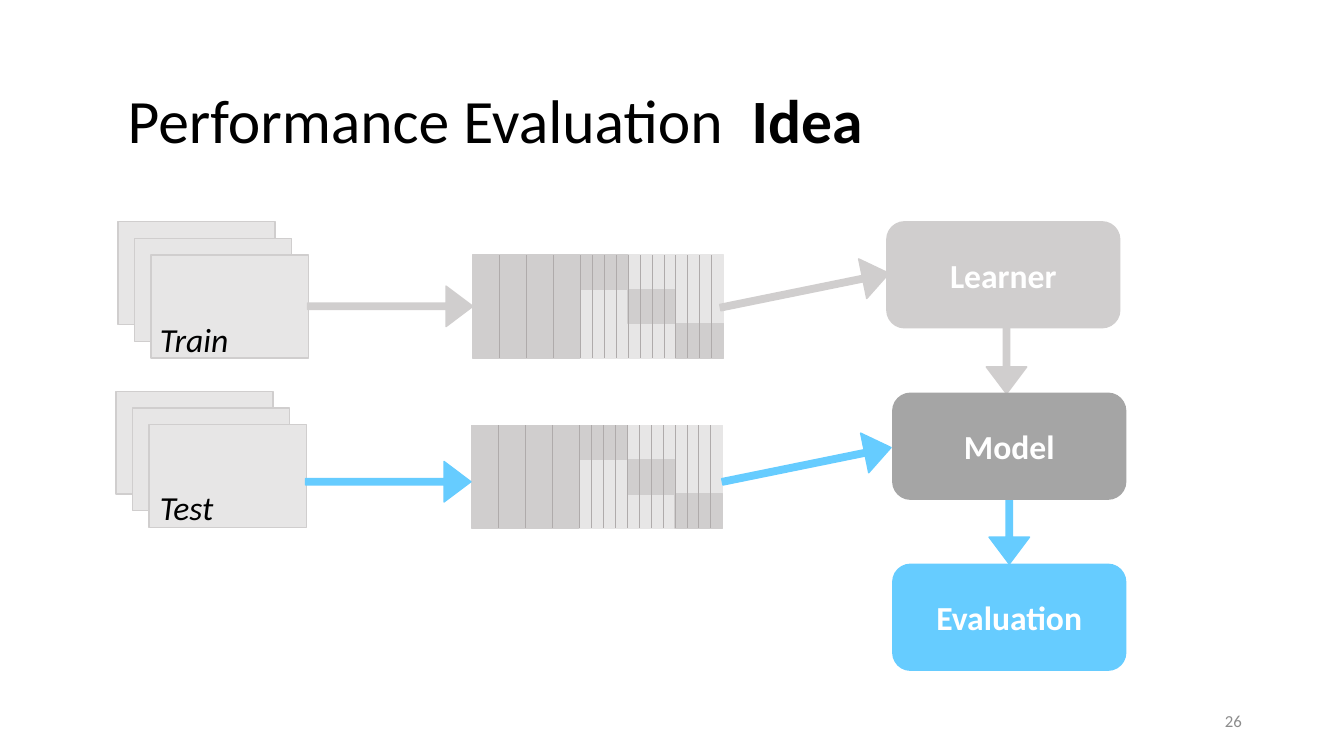
"""Build the performance evaluation slide: train and test data, learner, model, evaluation."""
from lxml.etree import SubElement
from pptx import Presentation
from pptx.dml.color import RGBColor
from pptx.enum.shapes import MSO_CONNECTOR, MSO_SHAPE
from pptx.enum.text import MSO_ANCHOR, PP_ALIGN
from pptx.oxml.ns import qn
from pptx.util import Cm, Pt

BLACK = RGBColor(0x00, 0x00, 0x00)
WHITE = RGBColor(0xFF, 0xFF, 0xFF)
NUMBER_GRAY = RGBColor(0x8C, 0x8C, 0x8C)
PALE = RGBColor(0xE7, 0xE6, 0xE6)
LIGHT = RGBColor(0xD0, 0xCE, 0xCE)
RULE = RGBColor(0xAF, 0xAB, 0xAB)
MID = RGBColor(0xA5, 0xA5, 0xA5)
BLUE = RGBColor(0x66, 0xCC, 0xFF)
FONT = "Calibri"

TITLE = ("Performance Evaluation  ", "Idea")
PAGE_NUMBER = "26"
DATA_SETS = [
    {"label": "Train", "label_top": 7.92, "cards": (2.97, 5.59), "matrix": (11.91, 6.43)},
    {"label": "Test", "label_top": 12.14, "cards": (2.92, 9.86), "matrix": (11.89, 10.72)},
]
STAGES = [
    ("Learner", 22.35, 5.59, LIGHT),
    ("Model", 22.5, 9.91, MID),
    ("Evaluation", 22.5, 14.22, BLUE),
]
ARROWS = [
    (7.75, 7.21, 4.17, 0, LIGHT),
    (7.7, 11.63, 4.17, 0, BLUE),
    (18.11, 6.81, 4.34, -11.5, LIGHT),
    (18.16, 11.2, 4.34, -11.5, BLUE),
    (24.54, 8.59, 1.65, 90, LIGHT),
    (24.61, 12.88, 1.65, 90, BLUE),
]
ARROW_HEIGHT = 1.02
CARD_COUNT, CARD_STEP, CARD_WIDTH, CARD_HEIGHT = 3, 0.42, 3.96, 2.59
STAGE_WIDTH, STAGE_HEIGHT = 5.87, 2.67
MATRIX_HEIGHT = 2.59
WIDE_COLUMNS, WIDE_STEP = 4, 0.68
NARROW_COLUMNS, NARROW_STEP = 12, 0.3
BLOCKS = 3


def add_box(shapes, kind, left, top, width, height, fill, line):
    s = shapes.add_shape(kind, Cm(left), Cm(top), Cm(width), Cm(height))
    s.shadow.inherit = False
    s.fill.solid()
    s.fill.fore_color.rgb = fill
    s.line.color.rgb = line
    s.line.width = Pt(1)
    return s


def write(s, texts, size, color, align=PP_ALIGN.LEFT, anchor=MSO_ANCHOR.MIDDLE):
    tf = s.text_frame
    tf.word_wrap = True
    tf.vertical_anchor = anchor
    p = tf.paragraphs[0]
    p.alignment = align
    for text in texts:
        r = p.add_run()
        r.text = text
        r.font.name = FONT
        r.font.size = Pt(size)
        r.font.color.rgb = color
    return p


def add_text(shapes, left, top, width, height, *style):
    s = shapes.add_textbox(Cm(left), Cm(top), Cm(width), Cm(height))
    return write(s, *style)


def add_rule(shapes, x, top, bottom):
    s = shapes.add_connector(MSO_CONNECTOR.STRAIGHT, Cm(x), Cm(top), Cm(x), Cm(bottom))
    s.line.color.rgb = RULE
    s.line.width = Pt(0.5)
    SubElement(s._element.spPr, qn("a:effectLst"))


def add_cards(shapes, left, top):
    for i in range(CARD_COUNT):
        offset = i * CARD_STEP
        add_box(shapes, MSO_SHAPE.RECTANGLE, left + offset, top + offset,
                CARD_WIDTH, CARD_HEIGHT, PALE, LIGHT)


def add_matrix(shapes, left, top):
    group = shapes.add_group_shape().shapes
    wide = WIDE_COLUMNS * WIDE_STEP
    narrow = NARROW_COLUMNS * NARROW_STEP
    middle = left + wide
    block_width, block_height = narrow / BLOCKS, MATRIX_HEIGHT / BLOCKS
    add_box(group, MSO_SHAPE.RECTANGLE, left, top, wide, MATRIX_HEIGHT, LIGHT, LIGHT)
    add_box(group, MSO_SHAPE.RECTANGLE, middle, top, narrow, MATRIX_HEIGHT, PALE, PALE)
    for i in range(BLOCKS):
        add_box(group, MSO_SHAPE.RECTANGLE, middle + i * block_width, top + i * block_height,
                block_width, block_height, LIGHT, LIGHT)
    rules = [left + i * WIDE_STEP for i in range(1, WIDE_COLUMNS)]
    rules += [middle + i * NARROW_STEP for i in range(NARROW_COLUMNS)]
    for x in rules:
        add_rule(group, x, top, top + MATRIX_HEIGHT)


def main():
    prs = Presentation()
    prs.slide_width, prs.slide_height = Cm(33.87), Cm(19.05)
    shapes = prs.slides.add_slide(prs.slide_layouts[6]).shapes

    add_text(shapes, 23.93, 17.65, 7.62, 1.02, [PAGE_NUMBER], 12, NUMBER_GRAY, PP_ALIGN.RIGHT)
    p = add_text(shapes, 2.97, 1.55, 28.58, 3.12, TITLE, 44, BLACK)
    p.line_spacing = 0.9
    p.runs[1].font.bold = True

    for data in DATA_SETS:
        add_cards(shapes, *data["cards"])
        p = add_text(shapes, 3.78, data["label_top"], 3.2, 1.27, [data["label"]],
                     24, BLACK, PP_ALIGN.LEFT, MSO_ANCHOR.TOP)
        p.runs[0].font.italic = True
        add_matrix(shapes, *data["matrix"])

    for left, top, length, angle, color in ARROWS:
        s = add_box(shapes, MSO_SHAPE.RIGHT_ARROW, left, top, length, ARROW_HEIGHT, color, color)
        s.adjustments[0], s.adjustments[1] = 0.16, 0.665
        s.rotation = angle

    for name, left, top, color in STAGES:
        s = add_box(shapes, MSO_SHAPE.ROUNDED_RECTANGLE, left, top,
                    STAGE_WIDTH, STAGE_HEIGHT, color, color)
        p = write(s, [name], 24, WHITE, PP_ALIGN.CENTER)
        p.runs[0].font.bold = True

    prs.save("out.pptx")


if __name__ == "__main__":
    main()
